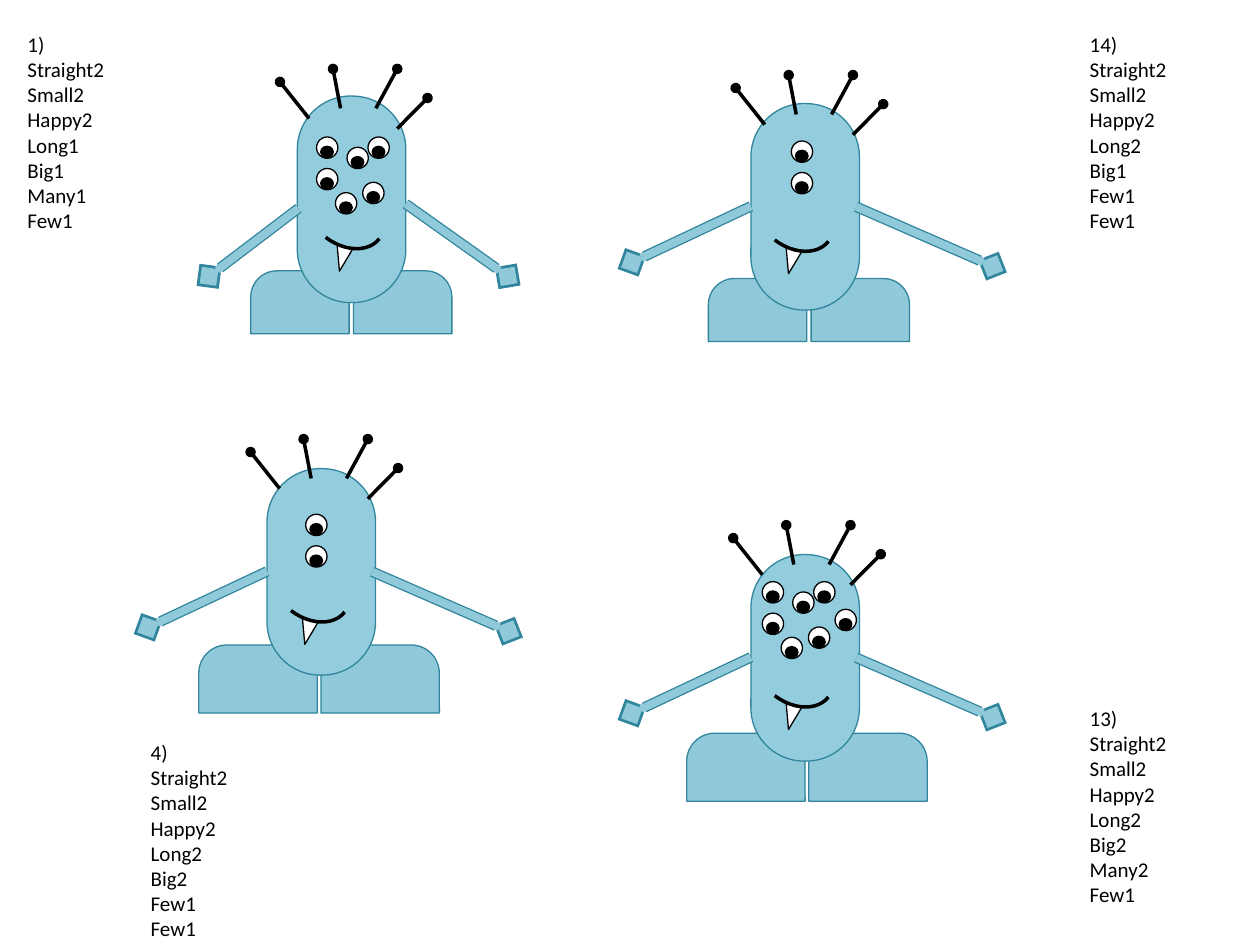
from dataclasses import dataclass

from lxml import etree
from pptx import Presentation
from pptx.dml.color import RGBColor
from pptx.enum.shapes import MSO_CONNECTOR, MSO_SHAPE
from pptx.enum.text import MSO_AUTO_SIZE
from pptx.oxml.ns import qn
from pptx.util import Pt

STRAIGHT = MSO_CONNECTOR.STRAIGHT
OVAL = MSO_SHAPE.OVAL
FOOT = MSO_SHAPE.ROUND_2_SAME_RECTANGLE
BODY = MSO_SHAPE.ROUNDED_RECTANGLE
TOOTH = MSO_SHAPE.ISOSCELES_TRIANGLE
ARC = MSO_SHAPE.ARC
FIT = MSO_AUTO_SIZE.SHAPE_TO_FIT_TEXT


@dataclass(frozen=True)
class Theme:
    skin: str = "93CDDD"
    limb: str = "90C9DA"
    edge: str = "31859C"
    black: str = "000000"
    white: str = "FFFFFF"
    font: str = "Calibri"
    size: float = 12
    thin: float = 0.75
    bold: float = 2
    arm: float = 4.5
    rim: float = 6


THEME = Theme()

BIG = (67.7, 38.9, 69.8)
SMALL = (56.2, 36, 58.7)
LONG = (((0, 58.7), (-68, 90.7)), ((60.1, 58.9), (138, 92.9)))
SHORT = (((0.7, 64.1), (-50.4, 103)), ((61.9, 61.6), (120.2, 103)))
HAIRS = (
    ((0, 0), (-16.6, -20.9)),
    ((18, -5.8), (13.7, -28.3)),
    ((38.2, -5.8), (50.4, -28.3)),
    ((50.4, 5.8), (67.7, -11.7)),
)
EYES = ((0, 0), (0, 18), (17.4, 5.9), (26.4, 25.9), (29.4, 0), (10.8, 31.8), (41.6, 15.8))


@dataclass(frozen=True)
class Monster:
    body: tuple
    feet: tuple
    foot: tuple
    arms: tuple
    mouth: tuple
    hair: tuple
    eye: tuple
    count: int
    label: tuple
    words: str


MONSTERS = (
    Monster((169.9, 54.9), (143.3, 154.8), SMALL, SHORT, (179, 96.5), (176.6, 67.7),
            (180.9, 78.3), 6, (8.6, 14.4),
            "1) Straight2 Small2 Happy2 Long1 Big1 Many1 Few1"),
    Monster((152.6, 267.8), (113.6, 368.6), BIG, LONG, (159.2, 309.8), (159.8, 279.2),
            (174.7, 293.9), 2, (79, 419),
            "4) Straight2 Small2 Happy2 Long2 Big2 Few1 Few1"),
    Monster((429.1, 59.2), (404.8, 159.2), SMALL, LONG, (435.6, 98), (437, 71.2),
            (452.2, 80.6), 2, (615.6, 14.4),
            "14) Straight2 Small2 Happy2 Long2 Big1 Few1 Few1"),
    Monster((429.1, 316.9), (392.4, 419), BIG, LONG, (435.6, 358.4), (435.6, 328.4),
            (435.6, 332.4), 7, (615.6, 399.6),
            "13) Straight2 Small2 Happy2 Long2 Big2 Many2 Few1"),
)


def shift(base, step):
    return base[0] + step[0], base[1] + step[1]


def color(code):
    return RGBColor.from_string(code)


def add_form(group, kind, spot, size, fill, edge, width=THEME.thin, adjust=None, turn=0):
    form = group.shapes.add_shape(kind, *map(Pt, spot + size))
    form.shadow.inherit = False
    if fill:
        form.fill.solid()
        form.fill.fore_color.rgb = color(fill)
    else:
        form.fill.background()
    form.line.color.rgb = color(edge)
    form.line.width = Pt(width)
    if adjust is not None:
        form.adjustments[0] = adjust
    form.rotation = turn
    return form


def add_line(group, start, end, tint, width, tip):
    line = group.shapes.add_connector(STRAIGHT, *map(Pt, start + end))
    line.line.color.rgb = color(tint)
    line.line.width = Pt(width)
    props = line._element.spPr
    etree.SubElement(props.find(qn("a:ln")), qn("a:tailEnd"), type=tip)
    etree.SubElement(props, qn("a:effectLst"))


def add_feet(group, monster):
    wide, high, step = monster.foot
    for index in range(2):
        spot = shift(monster.feet, (index * step, 0))
        add_form(group, FOOT, spot, (wide, high), THEME.limb, THEME.edge, adjust=0.414)


def add_arms(group, monster):
    for start, end in monster.arms:
        for tint, width in ((THEME.edge, THEME.rim), (THEME.limb, THEME.arm)):
            add_line(group, shift(monster.body, start), shift(monster.body, end),
                     tint, width, "diamond")


def add_mouth(group, spot):
    tooth = add_form(group, TOOTH, shift(spot, (12.2, 44.3)), (9.4, 14.4),
                     THEME.white, THEME.black, adjust=0.443, turn=11)
    tooth._element.spPr.find(qn("a:xfrm")).set("flipV", "1")
    add_form(group, ARC, spot, (36, 49.7), None, THEME.black, THEME.bold, turn=127.4)


def add_hair(group, spot):
    for start, end in HAIRS:
        add_line(group, shift(spot, start), shift(spot, end), THEME.black, THEME.bold, "oval")


def add_eyes(group, spot, count):
    for step in EYES[:count]:
        place = shift(spot, step)
        add_form(group, OVAL, place, (12.2, 12.2), THEME.white, THEME.black)
        add_form(group, OVAL, shift(place, (2.4, 5.3)), (7.2, 6.5), THEME.black, THEME.black)


def add_label(slide, spot, words):
    box = slide.shapes.add_textbox(*map(Pt, spot + (59, 123.8)))
    frame = box.text_frame
    frame.text = "\n".join(words.split())
    frame.word_wrap = False
    frame.auto_size = FIT
    for para in frame.paragraphs:
        for run in para.runs:
            run.font.name = THEME.font
            run.font.size = Pt(THEME.size)
            run.font.color.rgb = color(THEME.black)


def add_monster(slide, monster):
    group = slide.shapes.add_group_shape()
    add_feet(group, monster)
    add_form(group, BODY, monster.body, (62, 118), THEME.skin, THEME.edge, adjust=0.49)
    add_arms(group, monster)
    add_mouth(group, monster.mouth)
    add_hair(group, monster.hair)
    add_eyes(group, monster.eye, monster.count)
    add_label(slide, monster.label, monster.words)


def main():
    deck = Presentation()
    deck.slide_width, deck.slide_height = Pt(720), Pt(540)
    slide = deck.slides.add_slide(deck.slide_layouts[6])
    for monster in MONSTERS:
        add_monster(slide, monster)
    deck.save("out.pptx")


main()
